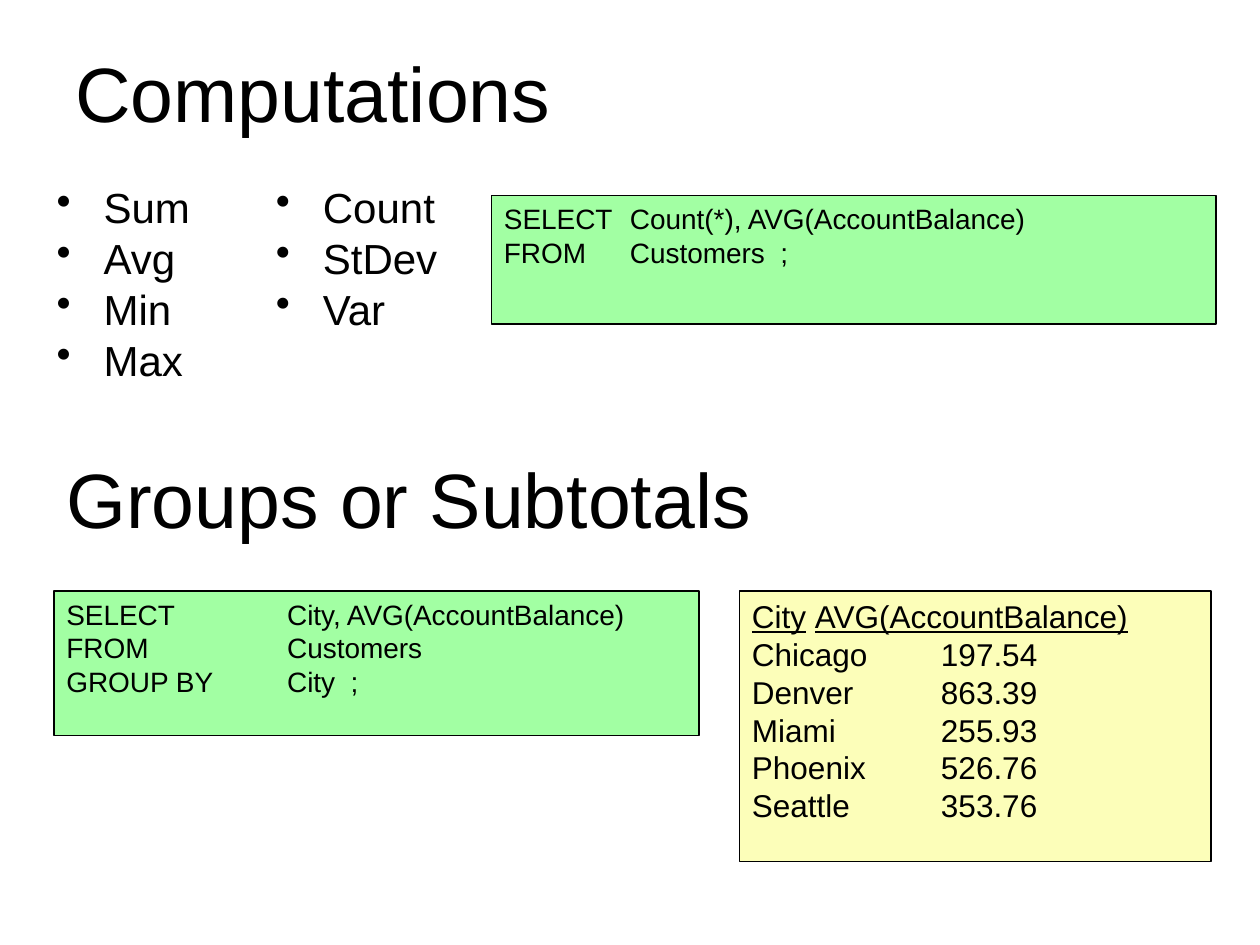
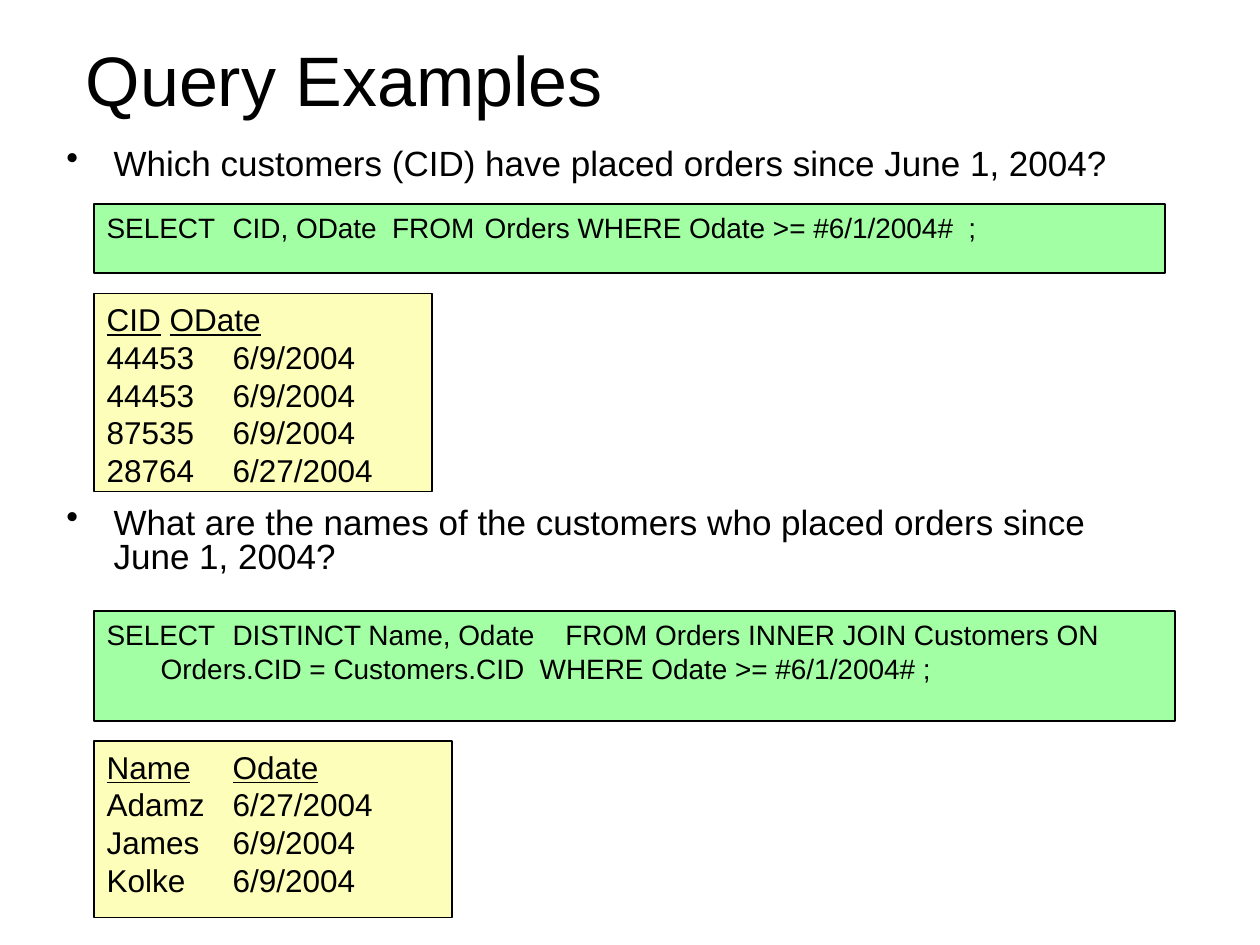
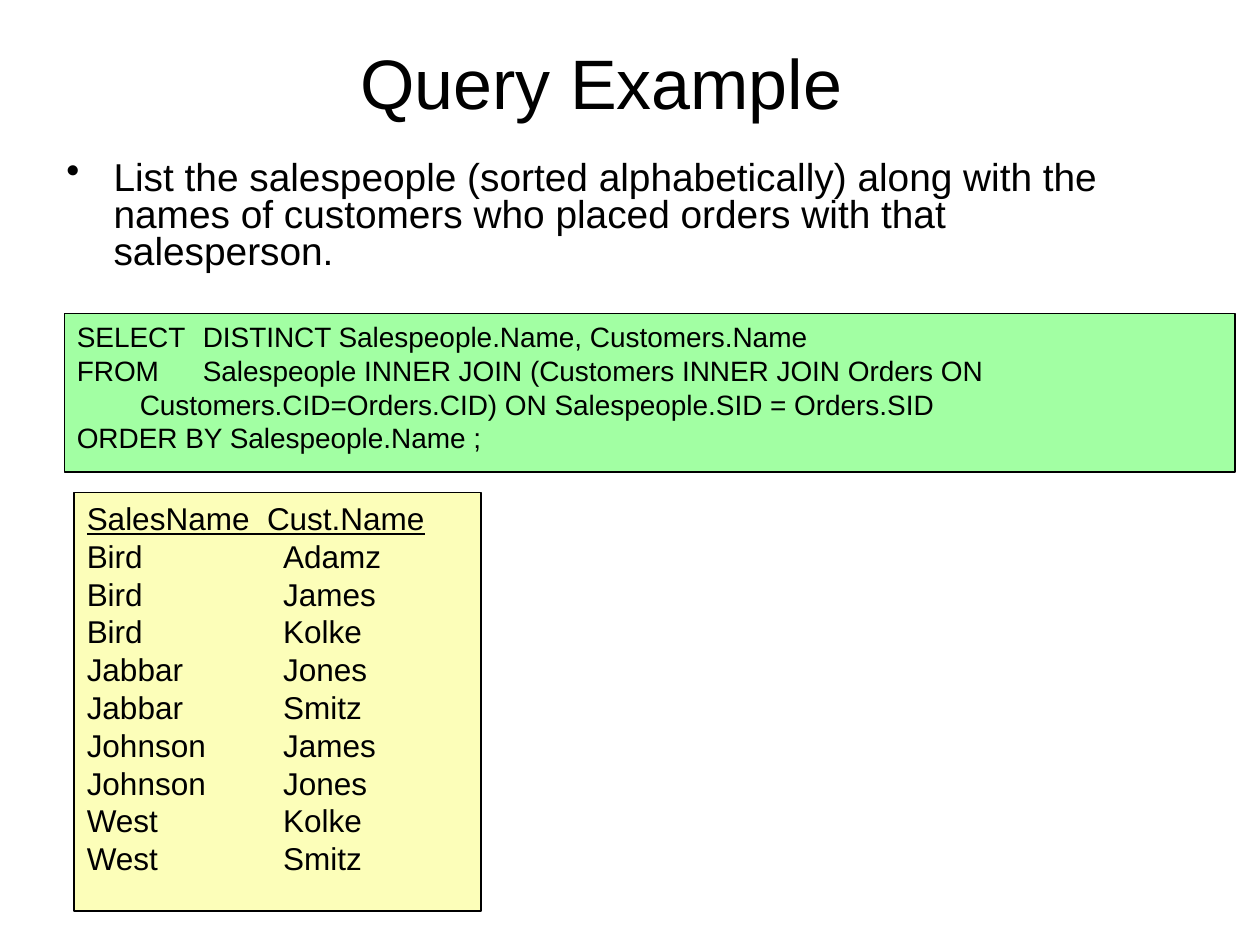
import pptx
import pptx.util
import pptx.dml.color
import pptx.enum.shapes
import pptx.enum.text
import pptx.oxml
import pptx.oxml.ns
from pptx.util import Cm, Pt

COLORS = {"text": "000000", "code": "A2FFA3", "result": "FCFEB9"}
FORMATS = {
    "title": {"size": Pt(40), "name": "Arial"},
    "bullet": {"size": Pt(24), "name": "Arial"},
    "code": {"size": Pt(16), "name": "Arial"},
    "result": {"size": Pt(18), "name": "Arial"},
}
MARGINS = {
    "margin_left": Cm(0.25),
    "margin_right": Cm(0.25),
    "margin_top": Cm(0.13),
    "margin_bottom": Cm(0.13),
    "word_wrap": True,
}
ANCHOR = pptx.enum.text.MSO_ANCHOR
ALIGN = pptx.enum.text.PP_ALIGN


def color(name):
    return pptx.dml.color.RGBColor.from_string(COLORS[name])


class Deck:
    def __init__(self):
        self.presentation = pptx.Presentation()
        self.presentation.slide_width = Cm(25.4)
        self.presentation.slide_height = Cm(19.05)
        self.slide = None

    def add_slide(self):
        layout = self.presentation.slide_layouts[6]
        self.slide = self.presentation.slides.add_slide(layout)

    def text_box(self, box):
        return self.slide.shapes.add_textbox(*map(Cm, box))

    def fill_frame(self, shape, lines, style, anchor=ANCHOR.TOP, size=None):
        frame = shape.text_frame
        for name, value in MARGINS.items():
            setattr(frame, name, value)
        frame.vertical_anchor = anchor
        values = dict(FORMATS[style])
        if size:
            values["size"] = Pt(size)
        for index, line in enumerate(lines):
            paragraph = frame.paragraphs[0] if index == 0 else frame.add_paragraph()
            paragraph.alignment = ALIGN.LEFT
            run = paragraph.add_run()
            run.text = line
            run.font.color.rgb = color("text")
            for name, value in values.items():
                setattr(run.font, name, value)
        return frame.paragraphs

    def title(self, box, text, size=40, alignment=ALIGN.LEFT):
        paragraphs = self.fill_frame(self.text_box(box), [text], "title", ANCHOR.MIDDLE, size)
        paragraphs[0].alignment = alignment

    def bullets(self, box, lines, size=24, line_spacing=0.8):
        paragraphs = self.fill_frame(self.text_box(box), lines, "bullet", size=size)
        for index, paragraph in enumerate(paragraphs):
            paragraph.line_spacing = line_spacing
            paragraph.space_before = Pt(6 if index else 0)
            properties = paragraph._p.get_or_add_pPr()
            properties.set("marL", str(Cm(0.95)))
            properties.set("indent", str(-Cm(0.95)))
            bullet = pptx.oxml.parse_xml(
                f'<a:buChar {pptx.oxml.ns.nsdecls("a")} char="•"/>')
            properties.append(bullet)

    def panel(self, box, lines, style, tab=None):
        rectangle = pptx.enum.shapes.MSO_SHAPE.RECTANGLE
        shape = self.slide.shapes.add_shape(rectangle, *map(Cm, box))
        shape.shadow.inherit = False
        shape.fill.solid()
        shape.fill.fore_color.rgb = color(style)
        shape.line.color.rgb = color("text")
        shape.line.width = Pt(1)
        paragraphs = self.fill_frame(shape, lines, style)
        if tab:
            for paragraph in paragraphs:
                paragraph._p.get_or_add_pPr().append(pptx.oxml.parse_xml(
                    f'<a:tabLst {pptx.oxml.ns.nsdecls("a")}>'
                    f'<a:tab pos="{Cm(tab)}" algn="l"/></a:tabLst>'))
        return paragraphs

    def code(self, box, lines, tab=None):
        self.panel(box, lines, "code", tab)

    def result(self, box, header, rows, tab=None, separator="\t"):
        lines = [header] + [separator.join(row) for row in rows]
        paragraphs = self.panel(box, lines, "result", tab)
        paragraphs[0].runs[0].font.underline = True


def computations(deck):
    deck.add_slide()
    deck.title((1.27, 0.76, 22.86, 2.16), "Computations", 44)
    functions = [["Sum", "Avg", "Min", "Max"], ["Count", "StDev", "Var"]]
    for column, names in enumerate(functions):
        deck.bullets((0.89 + 4.42 * column, 3.73, 4.19, 4.47), names)
    deck.code((9.91, 3.94, 14.61, 2.59), [
        "SELECT\tCount(*), AVG(AccountBalance)",
        "FROM\tCustomers  ;",
    ])
    deck.title((1.09, 8.74, 22.86, 2.59), "Groups or Subtotals", 44)
    deck.code((1.09, 11.91, 13, 2.92), [
        "SELECT\tCity, AVG(AccountBalance)",
        "FROM\tCustomers",
        "GROUP BY\tCity  ;",
    ], tab=4.45)
    balances = [
        ("Chicago", "197.54"),
        ("Denver", "863.39"),
        ("Miami", "255.93"),
        ("Phoenix", "526.76"),
        ("Seattle", "353.76"),
    ]
    deck.result((14.91, 11.91, 9.5, 5.46), "City\tAVG(AccountBalance)",
                balances, separator="\t\t")


def query_examples(deck):
    deck.add_slide()
    deck.title((1.48, 0, 22.47, 3.18), "Query Examples")
    deck.bullets((1.09, 2.72, 22.23, 12.57),
                 ["Which customers (CID) have placed orders since June 1, 2004?"], 20, 1)
    deck.code((1.9, 4.11, 21.59, 1.4),
              ["SELECT\tCID, ODate  FROM\tOrders WHERE Odate >= #6/1/2004#  ;"])
    deck.result((1.9, 5.92, 6.81, 3.99), "CID\tODate", [
        ("44453", "6/9/2004"),
        ("44453", "6/9/2004"),
        ("87535", "6/9/2004"),
        ("28764", "6/27/2004"),
    ])
    deck.bullets((1.09, 10.13, 22.23, 1.7), [
        "What are the names of the customers who placed orders since June 1, 2004?"], 20)
    deck.code((1.9, 12.32, 21.79, 2.21), [
        "SELECT\tDISTINCT Name, Odate    FROM Orders INNER JOIN Customers ON",
        "       Orders.CID = Customers.CID  WHERE Odate >= #6/1/2004# ;",
    ])
    deck.result((1.9, 14.94, 7.21, 3.56), "Name\tOdate", [
        ("Adamz", "6/27/2004"),
        ("James", "6/9/2004"),
        ("Kolke", "6/9/2004"),
    ])


def query_example(deck):
    deck.add_slide()
    deck.code((1.3, 6.32, 23.6, 3.2), [
        "SELECT\tDISTINCT Salespeople.Name, Customers.Name",
        "FROM\tSalespeople INNER JOIN (Customers INNER JOIN Orders ON",
        "\tCustomers.CID=Orders.CID) ON Salespeople.SID = Orders.SID",
        "ORDER BY Salespeople.Name ;",
    ])
    customers = {
        "Bird": ["Adamz", "James", "Kolke"],
        "Jabbar": ["Jones", "Smitz"],
        "Johnson": ["James", "Jones"],
        "West": ["Kolke", "Smitz"],
    }
    pairs = [(seller, name) for seller, names in customers.items() for name in names]
    deck.result((1.5, 9.93, 8.2, 8.43), "SalesName  Cust.Name", pairs, tab=3.96)
    deck.title((0.69, 0.53, 22.86, 2.21), "Query Example", alignment=ALIGN.CENTER)
    deck.bullets((1.09, 3.12, 22.81, 2.54), [
        "List the salespeople (sorted alphabetically) along with the names of "
        "customers who placed orders with that salesperson."], 22.2)


def main():
    deck = Deck()
    computations(deck)
    query_examples(deck)
    query_example(deck)
    deck.presentation.save("out.pptx")


if __name__ == "__main__":
    main()
